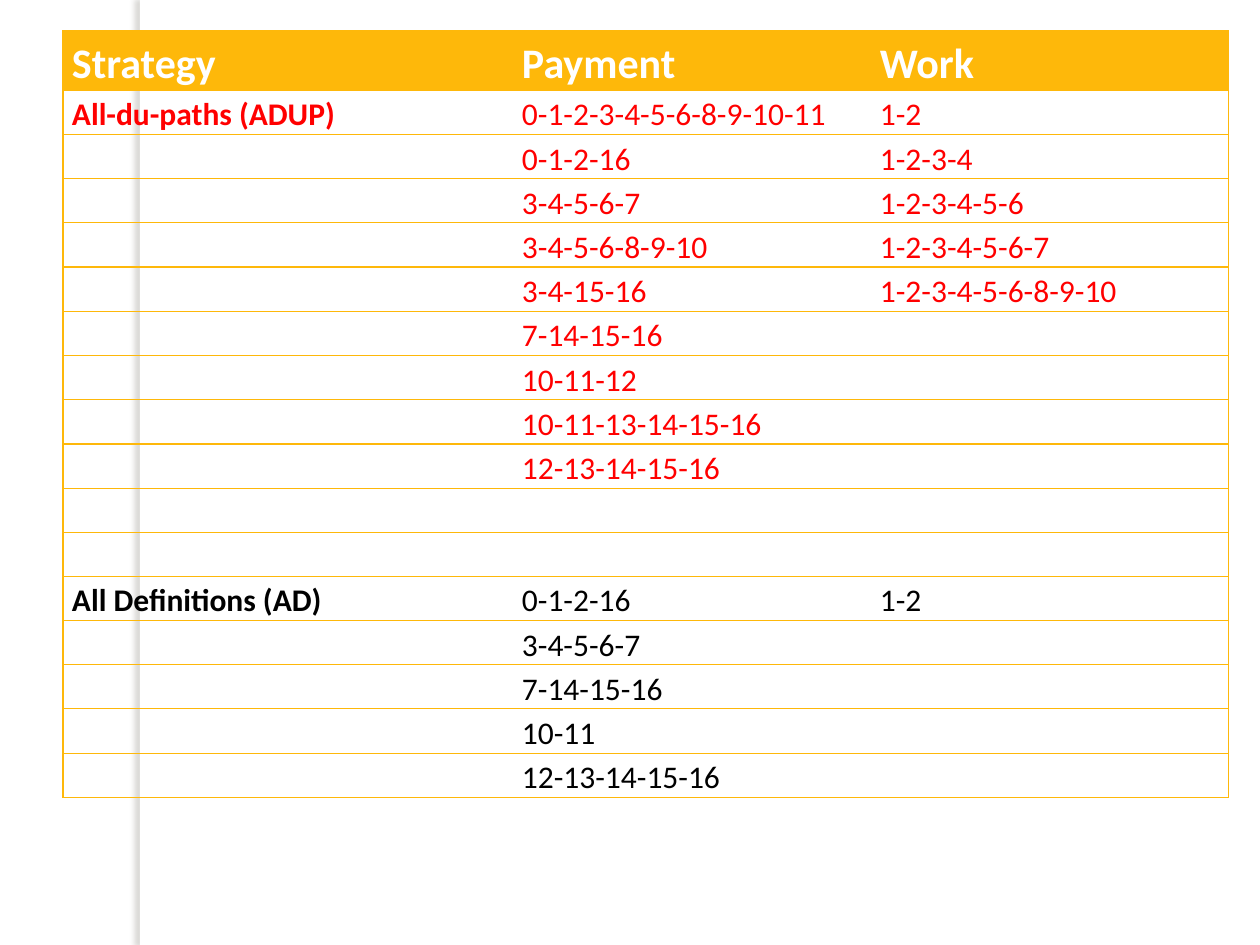
from itertools import zip_longest

from lxml.etree import SubElement
from pptx import Presentation
from pptx.dml.color import RGBColor
from pptx.enum.shapes import MSO_SHAPE as Shape
from pptx.oxml import parse_xml
from pptx.oxml.ns import nsdecls, qn
from pptx.util import Emu, Pt

EMU_PER_INCH = 914400
PX_PER_INCH = 126
COLORS = {
    "gold": "FEB80A",
    "white": "FFFFFF",
    "red": "FF0000",
    "black": "000000",
    "shadow": "736F63",
}
HEADINGS = ["Strategy", "Payment", "Work"]
# Each block: label, colour, Payment paths, Work paths, empty rows below
BLOCKS = [
    (
        "All-du-paths (ADUP)", "red",
        ["0-1-2-3-4-5-6-8-9-10-11", "0-1-2-16", "3-4-5-6-7",
         "3-4-5-6-8-9-10", "3-4-15-16", "7-14-15-16", "10-11-12",
         "10-11-13-14-15-16", "12-13-14-15-16"],
        ["1-2", "1-2-3-4", "1-2-3-4-5-6", "1-2-3-4-5-6-7",
         "1-2-3-4-5-6-8-9-10"],
        2,
    ),
    (
        "All Definitions (AD)", "black",
        ["0-1-2-16", "3-4-5-6-7", "7-14-15-16", "10-11", "12-13-14-15-16"],
        ["1-2"],
        0,
    ),
]
COLUMN_WIDTHS = [450, 358, 358]
HEADER_HEIGHT, ROW_HEIGHT = 59, 44


def px(length):
    return Emu(round(length * EMU_PER_INCH / PX_PER_INCH))


def rgb(name):
    return RGBColor.from_string(COLORS[name])


def add_strip(slide):
    """White vertical strip that casts a soft shadow to its left."""
    strip = slide.shapes.add_shape(
        Shape.RECTANGLE, px(140), 0, px(10), px(945))
    strip.fill.solid()
    strip.fill.fore_color.rgb = rgb("white")
    strip.line.fill.background()
    strip._element.spPr.append(parse_xml(
        f'<a:effectLst {nsdecls("a")}>'
        f'<a:outerShdw blurRad="{Pt(3)}" dist="{Pt(3)}" dir="10800000"'
        ' algn="tl" rotWithShape="0">'
        f'<a:srgbClr val="{COLORS["shadow"]}"><a:alpha val="25000"/>'
        '</a:srgbClr></a:outerShdw></a:effectLst>'))


def set_borders(cell, visible_sides):
    properties = cell._tc.get_or_add_tcPr()
    for side in "LRTB":
        line = SubElement(properties, qn(f"a:ln{side}"), w=str(Pt(0.75)))
        if side in visible_sides:
            fill = SubElement(line, qn("a:solidFill"))
            SubElement(fill, qn("a:srgbClr"), val=COLORS["gold"])
        else:
            SubElement(line, qn("a:noFill"))


def write_cell(cell, text, color, size, bold):
    margins = {"margin_left": px(9), "margin_right": px(9),
               "margin_top": 0, "margin_bottom": 0}
    for name, value in margins.items():
        setattr(cell, name, value)
    paragraph = cell.text_frame.paragraphs[0]
    paragraph.line_spacing = 1.15
    if text:
        run = paragraph.add_run()
        run.text = text
        formats = {"name": "Calibri", "size": Pt(size), "bold": bold}
        for name, value in formats.items():
            setattr(run.font, name, value)
        run.font.color.rgb = rgb(color)


def table_rows():
    """List each body row as its colour and three texts."""
    rows = []
    for label, color, payment, work, empty_rows in BLOCKS:
        for texts in zip_longest([label], payment, work, fillvalue=""):
            rows.append((color, texts))
        rows += [(color, ("", "", ""))] * empty_rows
    return rows


def add_path_table(slide):
    rows = [("white", HEADINGS)] + table_rows()
    height = HEADER_HEIGHT + ROW_HEIGHT * (len(rows) - 1)
    table = slide.shapes.add_table(
        len(rows), len(HEADINGS), px(63), px(31),
        px(sum(COLUMN_WIDTHS)), px(height)).table
    table.first_row = table.horz_banding = False
    for column, width in zip(table.columns, COLUMN_WIDTHS):
        column.width = px(width)
    for row_index, (color, texts) in enumerate(rows):
        is_header = row_index == 0
        table.rows[row_index].height = px(
            HEADER_HEIGHT if is_header else ROW_HEIGHT)
        for column_index, text in enumerate(texts):
            cell = table.cell(row_index, column_index)
            set_borders(cell, ("LTB", "TB", "RTB")[column_index])
            if is_header:
                cell.fill.solid()
                cell.fill.fore_color.rgb = rgb("gold")
            else:
                cell.fill.background()
            write_cell(cell, text, color, 24 if is_header else 18,
                       is_header or column_index == 0)


def main():
    presentation = Presentation()
    presentation.slide_width = px(1260)
    presentation.slide_height = px(945)
    slide = presentation.slides.add_slide(presentation.slide_layouts[6])
    add_strip(slide)
    add_path_table(slide)
    presentation.save("out.pptx")


if __name__ == "__main__":
    main()
